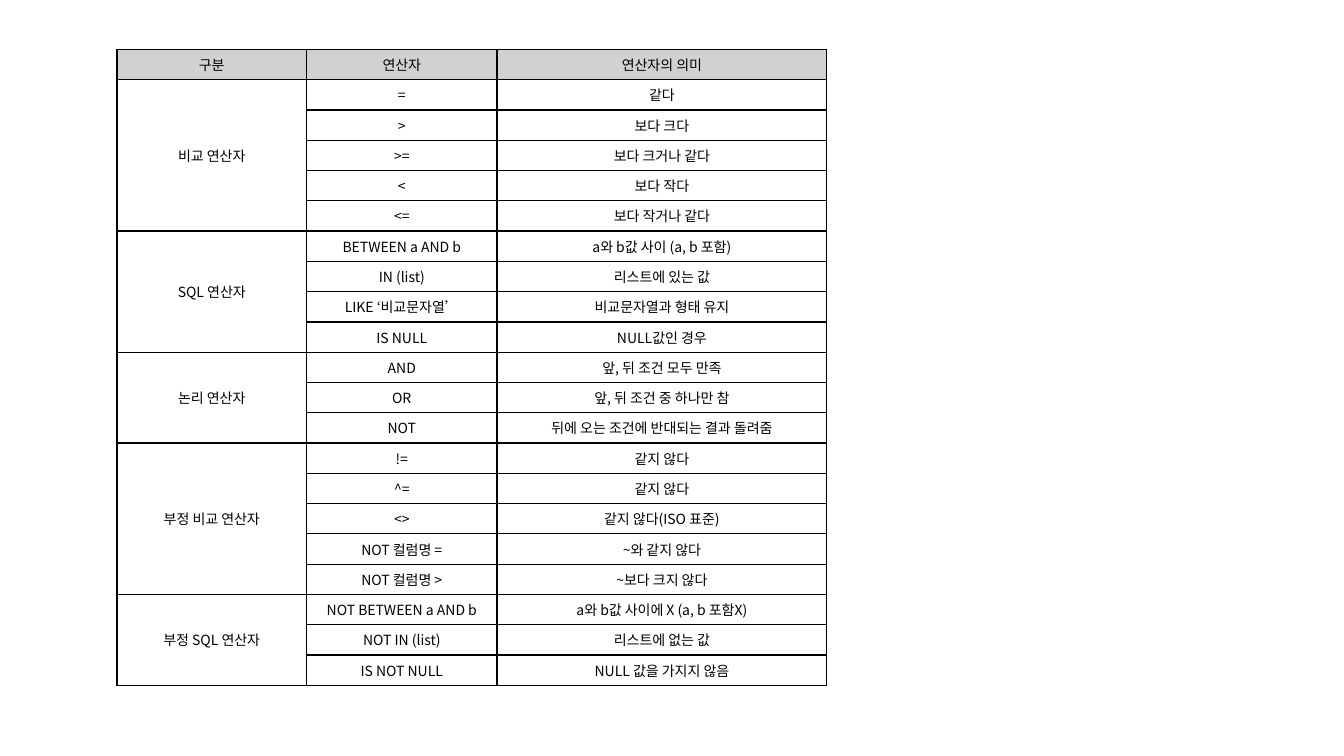
from lxml import etree
from pptx import Presentation
from pptx.dml.color import RGBColor
from pptx.enum.text import MSO_ANCHOR, PP_ALIGN
from pptx.oxml.ns import qn
from pptx.util import Inches, Pt

MIDDLE = MSO_ANCHOR.MIDDLE
CENTER = PP_ALIGN.CENTER
FONT = "Noto Sans CJK KR"
COLORS = {"ink": "000000", "header": "D1D1D1"}
BORDER_WIDTH = Pt(1)
COLUMN_WIDTHS = (1.88, 1.89, 3.27)
ROW_HEIGHT = 0.3
TABLE_BOX = (1.16, 0.49)

HEADER = ("구분", "연산자", "연산자의 의미")
OPERATOR_GROUPS = {
    "비교 연산자": [
        ("=", "같다"),
        (">", "보다 크다"),
        (">=", "보다 크거나 같다"),
        ("<", "보다 작다"),
        ("<=", "보다 작거나 같다"),
    ],
    "SQL 연산자": [
        ("BETWEEN a AND b", "a와 b값 사이 (a, b 포함)"),
        ("IN (list)", "리스트에 있는 값"),
        ("LIKE ‘비교문자열’", "비교문자열과 형태 유지"),
        ("IS NULL", "NULL값인 경우"),
    ],
    "논리 연산자": [
        ("AND", "앞, 뒤 조건 모두 만족"),
        ("OR", "앞, 뒤 조건 중 하나만 참"),
        ("NOT", "뒤에 오는 조건에 반대되는 결과 돌려줌"),
    ],
    "부정 비교 연산자": [
        ("!=", "같지 않다"),
        ("^=", "같지 않다"),
        ("<>", "같지 않다(ISO 표준)"),
        ("NOT 컬럼명 =", "~와 같지 않다"),
        ("NOT 컬럼명 >", "~보다 크지 않다"),
    ],
    "부정 SQL 연산자": [
        ("NOT BETWEEN a AND b", "a와 b값 사이에 X (a, b 포함X)"),
        ("NOT IN (list)", "리스트에 없는 값"),
        ("IS NOT NULL", "NULL 값을 가지지 않음"),
    ],
}


def add_borders(cell):
    properties = cell._tc.get_or_add_tcPr()
    for position, side in enumerate(("lnL", "lnR", "lnT", "lnB")):
        line = etree.Element(qn(f"a:{side}"), w=str(BORDER_WIDTH))
        fill = etree.SubElement(line, qn("a:solidFill"))
        etree.SubElement(fill, qn("a:srgbClr"), val=COLORS["ink"])
        properties.insert(position, line)


def format_cell(cell, fill_color=None):
    cell.vertical_anchor = MIDDLE
    if fill_color:
        cell.fill.solid()
        cell.fill.fore_color.rgb = RGBColor.from_string(fill_color)
    else:
        cell.fill.background()
    add_borders(cell)


def write_cell(cell, text):
    para = cell.text_frame.paragraphs[0]
    para.alignment = CENTER
    span = para.add_run()
    span.text = text
    for name, value in {"size": Pt(10), "name": FONT, "bold": False}.items():
        setattr(span.font, name, value)
    span.font.color.rgb = RGBColor.from_string(COLORS["ink"])
    east_asian = etree.SubElement(span._r.get_or_add_rPr(), qn("a:ea"))
    east_asian.set("typeface", FONT)


def add_operator_table(page, box):
    left, top = box
    row_count = 1 + sum(len(rows) for rows in OPERATOR_GROUPS.values())
    table = page.shapes.add_table(
        row_count, len(HEADER), Inches(left), Inches(top),
        Inches(sum(COLUMN_WIDTHS)), Inches(ROW_HEIGHT * row_count),
    ).table
    for column, width in zip(table.columns, COLUMN_WIDTHS):
        column.width = Inches(width)
    for index, row in enumerate(table.rows):
        row.height = Inches(ROW_HEIGHT)
        for cell in row.cells:
            format_cell(cell, COLORS["header"] if index == 0 else None)

    for column, text in enumerate(HEADER):
        write_cell(table.cell(0, column), text)
    first = 1
    for group, operators in OPERATOR_GROUPS.items():
        last = first + len(operators) - 1
        table.cell(first, 0).merge(table.cell(last, 0))
        write_cell(table.cell(first, 0), group)
        for row, texts in enumerate(operators, first):
            for column, text in enumerate(texts, 1):
                write_cell(table.cell(row, column), text)
        first = last + 1


def main():
    deck = Presentation()
    deck.slide_width = Inches(13.33)
    deck.slide_height = Inches(7.5)
    page = deck.slides.add_slide(deck.slide_layouts[6])
    add_operator_table(page, TABLE_BOX)
    deck.save("out.pptx")


if __name__ == "__main__":
    main()
